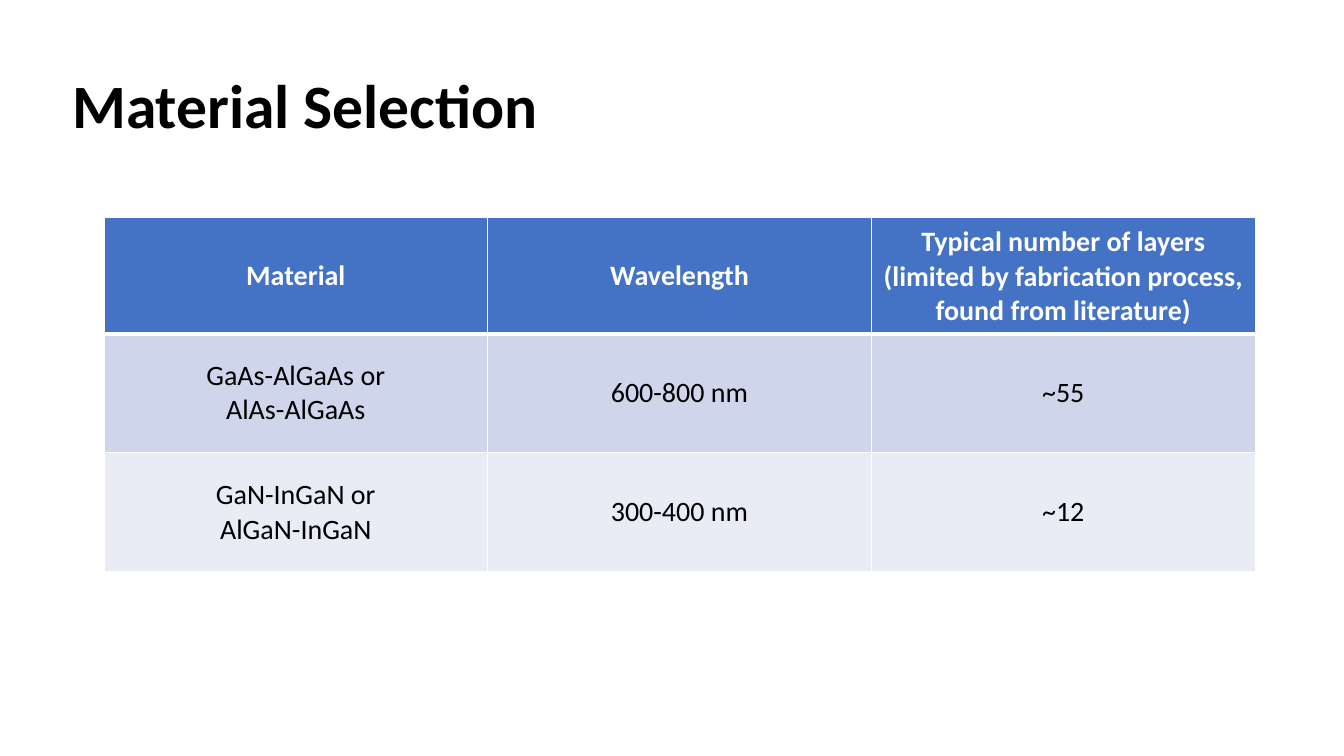
from lxml.etree import SubElement
from pptx import Presentation
from pptx.dml.color import RGBColor as Rgb
from pptx.enum.text import MSO_ANCHOR as Anchor, PP_ALIGN as Align
from pptx.oxml.ns import qn
from pptx.util import Cm, Pt

WHITE, BLACK, HEADER_BLUE = "FFFFFF", "000000", "4472C4"
BODY_FILLS = ["CFD5EA", "E9EBF5"]
TITLE_BOX = (1.57, 1.22, 28.96, 3.02)
TABLE_BOX = (2.62, 5.49, 29.01, 8.92)
HEADER_HEIGHT = 2.92
CELL_INSET = 0.18
ROWS = [
    ["Material", "Wavelength",
     "Typical number of layers (limited by fabrication process, found from literature)"],
    ["GaAs-AlGaAs or\nAlAs-AlGaAs", "600-800 nm", "~55"],
    ["GaN-InGaN or\nAlGaN-InGaN", "300-400 nm", "~12"],
]


def color(hex_text):
    """Turn a hex string into a colour."""
    return Rgb.from_string(hex_text)


def set_attributes(target, values):
    """Set every named value on the target."""
    for name, value in values.items():
        setattr(target, name, value)


def format_text(frame, size, hex_color, bold, **para_format):
    """Style all paragraphs and spans of a text frame."""
    for para in frame.paragraphs:
        set_attributes(para, para_format)
        for span in para.runs:
            set_attributes(span.font, {"name": "Calibri", "size": Pt(size), "bold": bold})
            span.font.color.rgb = color(hex_color)


def add_title(page, box, text):
    """Place the slide title in the given box."""
    frame = page.shapes.add_textbox(*map(Cm, box)).text_frame
    set_attributes(frame, {"text": text, "word_wrap": True, "vertical_anchor": Anchor.MIDDLE})
    format_text(frame, 44, BLACK, True, line_spacing=0.9)


def add_borders(cell, widths):
    """Draw white cell borders with the given widths in points."""
    properties = cell._tc.get_or_add_tcPr()
    for side, width in widths.items():
        line = SubElement(properties, qn(f"a:ln{side}"), w=str(Pt(width)))
        fill = SubElement(line, qn("a:solidFill"))
        SubElement(fill, qn("a:srgbClr"), val=WHITE)


def format_cell(cell, text, fill, text_color, bold, widths):
    """Fill one table cell with centred text, borders and colour."""
    margins = {f"margin_{side}": Cm(CELL_INSET) for side in ("left", "top", "right", "bottom")}
    set_attributes(cell, {"text": text, "vertical_anchor": Anchor.MIDDLE, **margins})
    format_text(cell.text_frame, 20, text_color, bold, alignment=Align.CENTER)
    add_borders(cell, widths)
    cell.fill.solid()
    cell.fill.fore_color.rgb = color(fill)


def add_material_table(page, box, rows):
    """Place the material table with equal columns and equal body rows."""
    width, height = box[2:]
    table = page.shapes.add_table(len(rows), len(rows[0]), *map(Cm, box)).table
    for column in table.columns:
        column.width = Cm(width / len(rows[0]))
    body_height = (height - HEADER_HEIGHT) / (len(rows) - 1)
    for index, texts in enumerate(rows):
        header = index == 0
        table.rows[index].height = Cm(HEADER_HEIGHT if header else body_height)
        fill = HEADER_BLUE if header else BODY_FILLS[(index - 1) % 2]
        widths = {"L": 1, "R": 1, "T": 3 if index == 1 else 1, "B": 3 if header else 1}
        for column, text in enumerate(texts):
            format_cell(table.cell(index, column), text, fill,
                        WHITE if header else BLACK, header, widths)


def main():
    """Build and save the deck."""
    deck = Presentation()
    set_attributes(deck, {"slide_width": Cm(33.87), "slide_height": Cm(19.05)})
    page = deck.slides.add_slide(deck.slide_layouts[6])
    add_title(page, TITLE_BOX, "Material Selection")
    add_material_table(page, TABLE_BOX, ROWS)
    deck.save("out.pptx")


if __name__ == "__main__":
    main()
